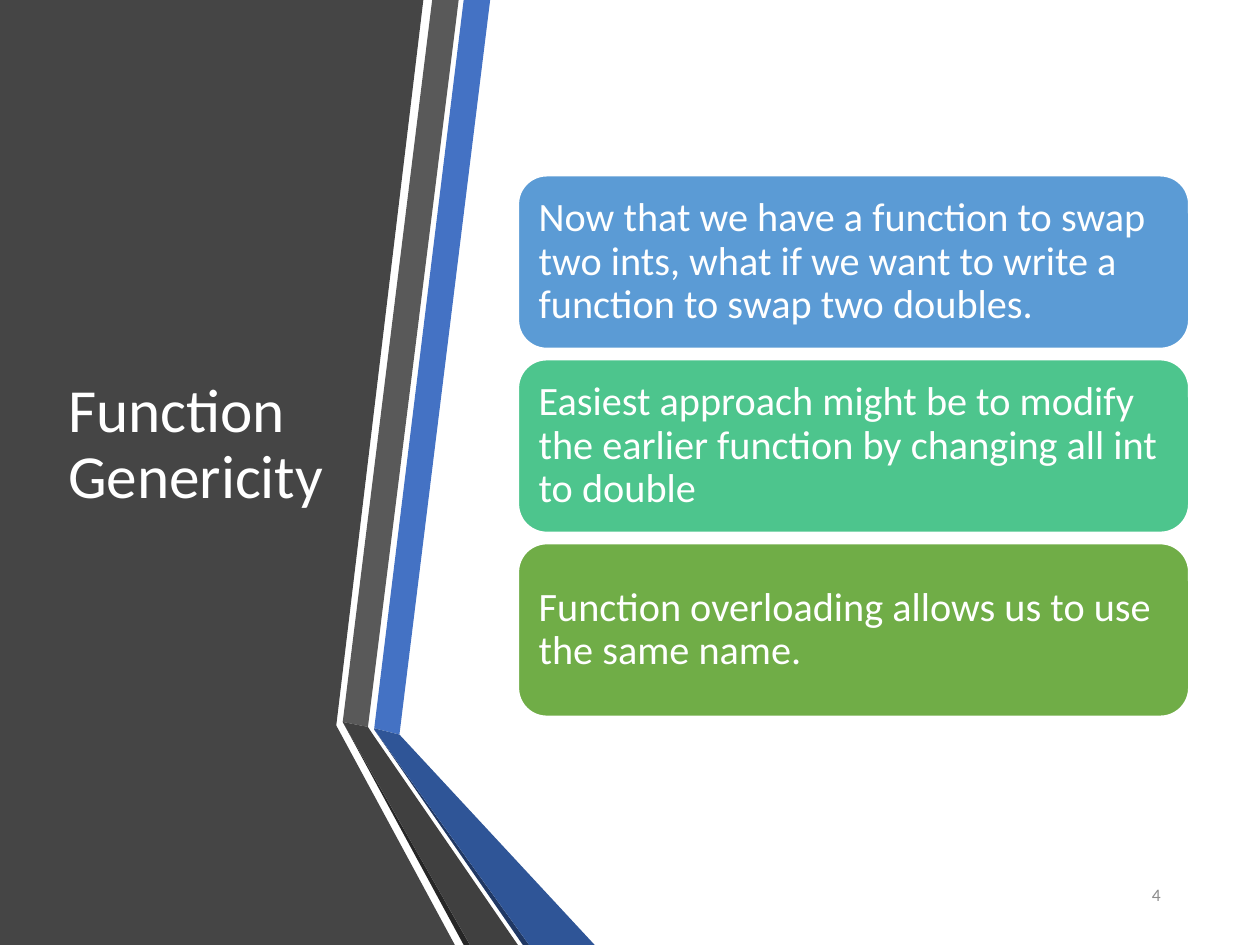
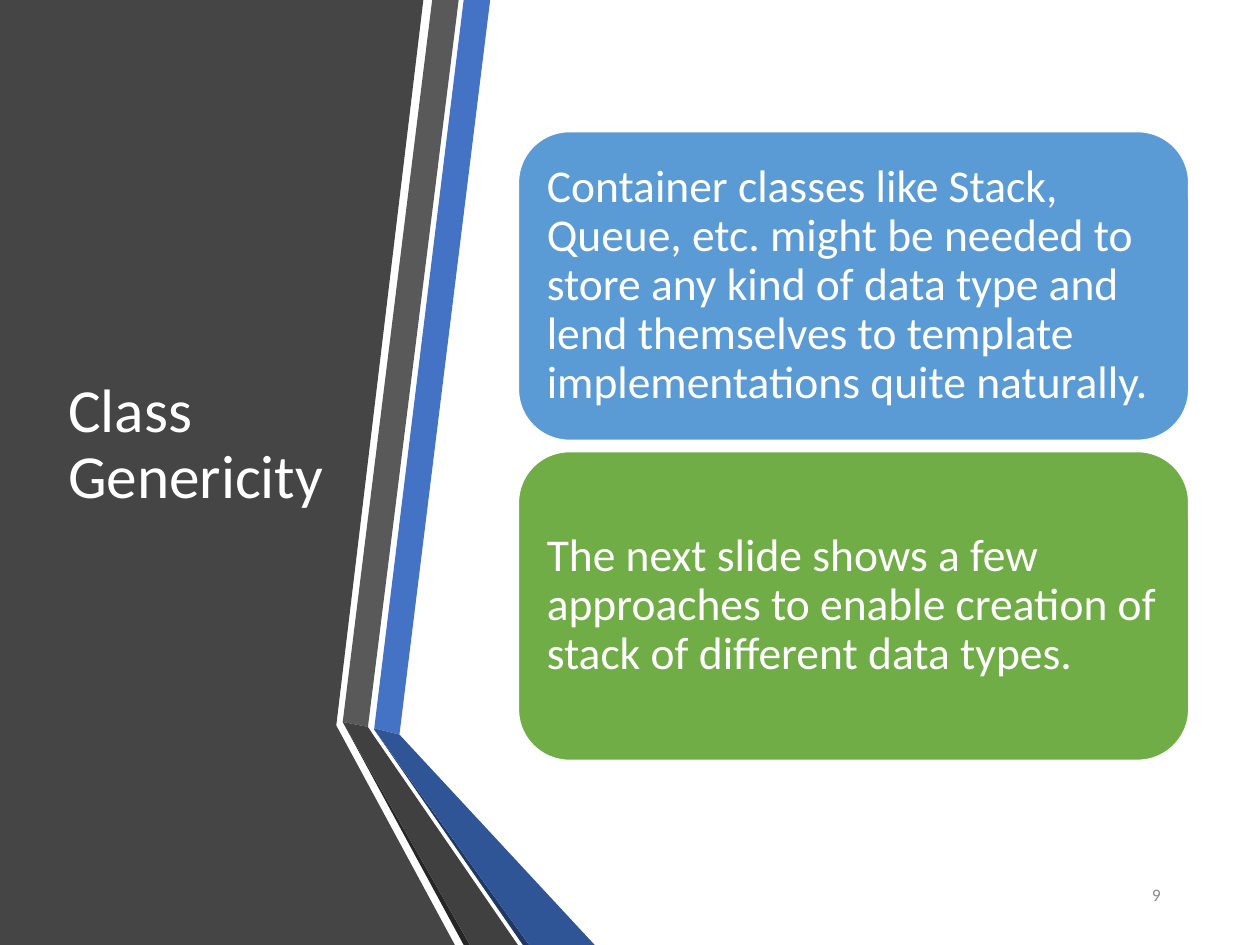
from dataclasses import dataclass

from pptx import Presentation
from pptx import util as u
from pptx.dml.color import RGBColor
from pptx.enum import shapes, text


@dataclass(frozen=True)
class Theme:
    font: str = "Calibri"
    white: str = "FFFFFF"
    panel: str = "454545"
    blue: str = "4472C4"
    blue_dark: str = "2F5597"
    blue_edge: str = "203864"
    gray: str = "595959"
    gray_dark: str = "404040"
    gray_edge: str = "262626"
    number: str = "8C8C8C"
    card_blue: str = "5B9BD5"
    card_teal: str = "4DC58D"
    card_green: str = "70AD47"
    title_size: int = 35
    number_size: int = 10
    line_spacing: float = 0.9


THEME = Theme()
CARD_LEFT, CARD_WIDTH, CARD_GAP = 4.11, 5.33, 0.08

PANEL = [(0, 0), (3.36, 0), (2.67, 5.75), (2.67, 5.76), (3.61, 7.5), (0, 7.5)]
RIBBONS = [
    (THEME.blue, [(2.97, 5.78), (3.17, 5.83), (3.89, 0), (3.68, 0)]),
    (THEME.gray, [(3.64, 0), (3.43, 0), (2.72, 5.73), (2.92, 5.77)]),
    (THEME.gray_edge, [(2.72, 5.73), (3.68, 7.5), (3.73, 7.5)]),
    (THEME.blue_edge, [(2.97, 5.79), (4.15, 7.5), (4.2, 7.5)]),
    (THEME.blue_dark, [(2.97, 5.79), (4.2, 7.5), (4.72, 7.5), (3.17, 5.83), (2.97, 5.78)]),
    (THEME.gray_dark, [(4.11, 7.5), (2.96, 5.83), (2.92, 5.77), (2.72, 5.73), (3.73, 7.5)]),
]


def place(shape, left, top, width, height):
    shape.left, shape.top = u.Inches(left), u.Inches(top)
    shape.width, shape.height = u.Inches(width), u.Inches(height)


def paint(shape, color):
    shape.shadow.inherit = False
    shape.fill.solid()
    shape.fill.fore_color.rgb = RGBColor.from_string(color)


def write(shape, words, size, color=THEME.white, align=text.PP_ALIGN.LEFT):
    frame = shape.text_frame
    frame.word_wrap = True
    frame.auto_size = text.MSO_AUTO_SIZE.NONE
    frame.vertical_anchor = text.MSO_ANCHOR.MIDDLE
    paragraph = frame.paragraphs[0]
    paragraph.alignment = align
    run = paragraph.add_run()
    run.text = words
    run.font.name = THEME.font
    run.font.size = u.Pt(size)
    run.font.color.rgb = RGBColor.from_string(color)
    return paragraph


def add_polygon(collection, color, points):
    corners = [(u.Inches(x), u.Inches(y)) for x, y in points]
    builder = collection.build_freeform(*corners[0], scale=1.0)
    builder.add_line_segments(corners[1:], close=True)
    polygon = builder.convert_to_shape()
    paint(polygon, color)
    polygon.line.fill.background()


def add_backdrop(slide):
    add_polygon(slide.shapes, THEME.panel, PANEL)
    ribbons = slide.shapes.add_group_shape()
    for color, points in RIBBONS:
        add_polygon(ribbons.shapes, color, points)


def add_title(slide, words):
    title = slide.shapes.title
    title.element.getparent().append(title.element)
    place(title, 0.44, 0.75, 2.28, 5.58)
    write(title, words, THEME.title_size).line_spacing = THEME.line_spacing


def add_number(slide, number):
    box = slide.shapes.add_textbox(0, 0, 0, 0)
    place(box, 8.42, 6.9, 0.89, 0.4)
    write(box, str(number), THEME.number_size, THEME.number, text.PP_ALIGN.RIGHT)


def add_cards(slide, cards, top, height, size, inset):
    group = slide.shapes.add_group_shape()
    for index, (color, words) in enumerate(cards):
        card = group.shapes.add_shape(
            shapes.MSO_SHAPE.ROUNDED_RECTANGLE,
            u.Inches(CARD_LEFT), u.Inches(top + index * (height + CARD_GAP)),
            u.Inches(CARD_WIDTH), u.Inches(height))
        paint(card, color)
        card.line.color.rgb = RGBColor.from_string(THEME.white)
        card.line.width = u.Pt(1.5)
        frame = card.text_frame
        frame.margin_left = frame.margin_right = u.Inches(inset)
        frame.margin_top = frame.margin_bottom = u.Inches(inset)
        write(card, words, size).line_spacing = THEME.line_spacing


def add_slide(presentation, title, number):
    slide = presentation.slides.add_slide(presentation.slide_layouts.get_by_name("Title Only"))
    add_backdrop(slide)
    add_title(slide, title)
    add_number(slide, number)
    return slide


def main():
    presentation = Presentation()
    presentation.slide_width, presentation.slide_height = u.Inches(10), u.Inches(7.5)

    functions = add_slide(presentation, "Function Genericity", 4)
    add_cards(functions, [
        (THEME.card_blue, "Now that we have a function to swap two ints, what if we want "
                          "to write a function to swap two doubles."),
        (THEME.card_teal, "Easiest approach might be to modify the earlier function by "
                          "changing all int to double"),
        (THEME.card_green, "Function overloading allows us to use the same name."),
    ], top=1.39, height=1.38, size=23, inset=0.1)

    classes = add_slide(presentation, "Class Genericity", 9)
    add_cards(classes, [
        (THEME.card_blue, "Container classes like Stack, Queue, etc. might be needed to store "
                          "any kind of data type and lend themselves to template "
                          "implementations quite naturally."),
        (THEME.card_green, "The next slide shows a few approaches to enable creation of "
                           "stack of different data types."),
    ], top=1.04, height=2.46, size=26, inset=0.11)

    presentation.save("out.pptx")


main()
